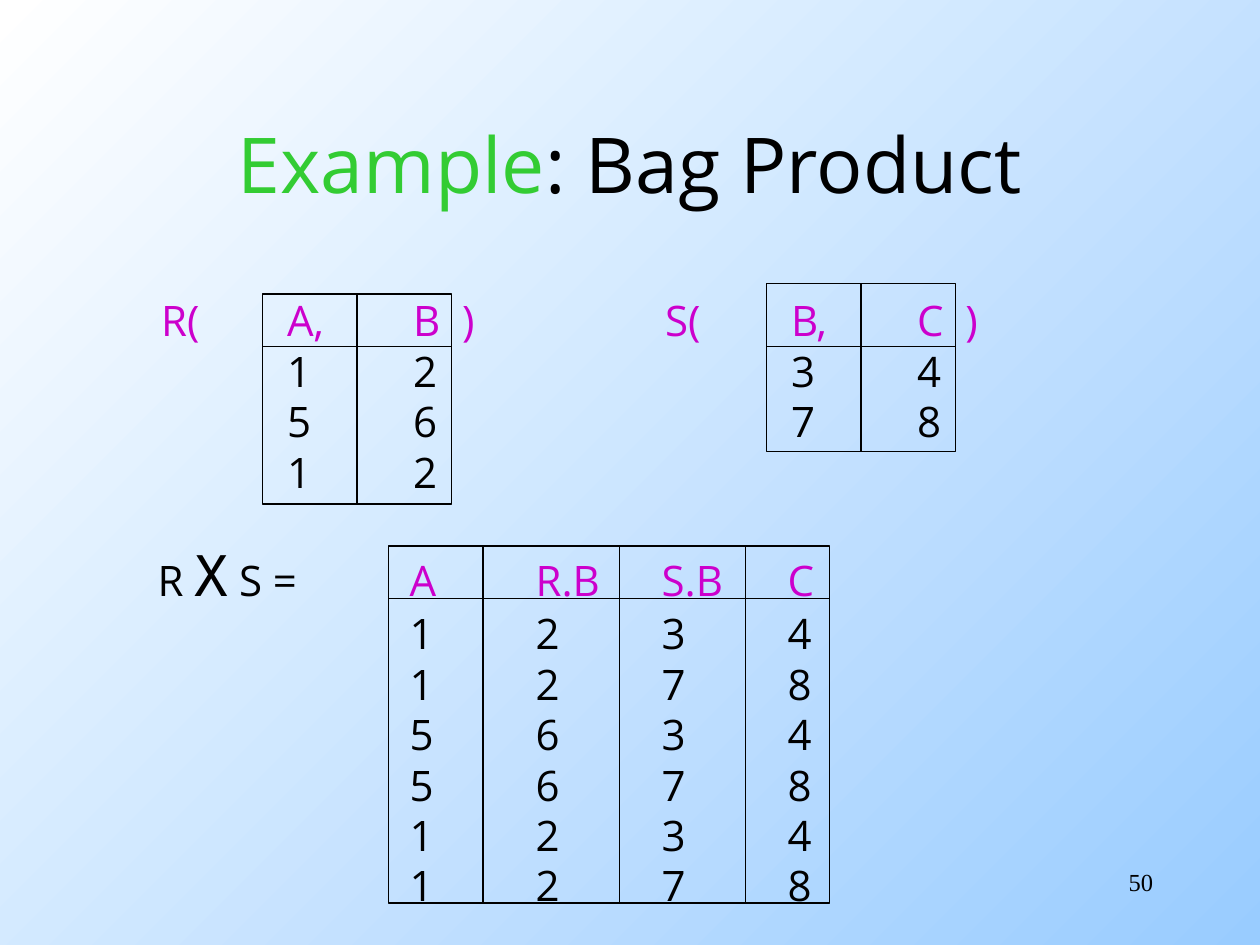
import pptx
import pptx.util
import pptx.dml.color
import pptx.enum.shapes
import pptx.enum.text
import pptx.oxml.ns
import lxml.etree

Pt = pptx.util.Pt
Color = pptx.dml.color.RGBColor.from_string
Align = pptx.enum.text.PP_ALIGN
Anchor = pptx.enum.text.MSO_ANCHOR
name = pptx.oxml.ns.qn

theme = {
    "sans": "Open Sans", "mono": "DejaVu Sans Mono", "serif": "Times New Roman",
    "title": 44, "sign": 32, "body": 24, "page": 14,
    "ink": "000000", "green": "33CC33", "head": "CC00CC",
    "pale": "FFFFFF", "blue": "99CCFF", "rule": 0.74,
}

deck = pptx.Presentation()
deck.slide_width, deck.slide_height = Pt(720), Pt(540)
slide = deck.slides.add_slide(deck.slide_layouts[6])

fill = slide.background.fill
fill.gradient()
fill.gradient_angle = 315
for stop, place, tint in zip(fill.gradient_stops, (0, 1), ("pale", "blue")):
    stop.position = place
    stop.color.rgb = Color(theme[tint])


def add_text(box, lines, align=Align.LEFT, wrap=False, pitch=()):
    """Add a text box; each line is a list of (text, size, font, color) runs."""
    shape = slide.shapes.add_textbox(*map(Pt, box))
    frame = shape.text_frame
    frame.word_wrap = wrap
    for row, line in enumerate(lines):
        para = frame.paragraphs[0] if row == 0 else frame.add_paragraph()
        para.alignment = align
        if pitch:
            para.line_spacing = Pt(pitch[min(row, len(pitch) - 1)])
            # Tab stops every 72 points
            tabs = lxml.etree.SubElement(para._p.get_or_add_pPr(), name("a:tabLst"))
            for step in range(1, 8):
                lxml.etree.SubElement(
                    tabs, name("a:tab"), pos=str(Pt(72 * step)), algn="l")
        for text, size, font, color in line:
            run = para.add_run()
            run.text = text
            run.font.size = Pt(theme[size])
            run.font.name = theme[font]
            run.font.color.rgb = Color(theme[color])
    return frame


def add_grid(left, top, width, height, head, cols):
    """Draw a frame with a rule under its head and rules between columns."""
    frame = slide.shapes.add_shape(
        pptx.enum.shapes.MSO_SHAPE.RECTANGLE, *map(Pt, (left, top, width, height)))
    frame.shadow.inherit = False
    frame.fill.background()
    rules = [(left, head, left + width, head)]
    rules += [(col, top, col, top + height) for col in cols]
    parts = [frame]
    for ends in rules:
        rule = slide.shapes.add_connector(
            pptx.enum.shapes.MSO_CONNECTOR.STRAIGHT, *map(Pt, ends))
        parts.append(rule)
    for part in parts:
        part.line.color.rgb = Color(theme["ink"])
        part.line.width = Pt(theme["rule"])
    for rule in parts[1:]:
        lxml.etree.SubElement(rule._element.spPr, name("a:effectLst"))


add_text((516, 492, 150, 36), [[("50", "page", "serif", "ink")]], Align.RIGHT, True)

title = add_text((54, 48, 612, 90), [[
    ("Example", "title", "sans", "green"),
    (": Bag Product", "title", "sans", "ink"),
]], Align.CENTER, True)
title.vertical_anchor = Anchor.MIDDLE

# Relations R and S
rows = ["\t1\t2\t\t\t3\t4", "\t5\t6\t\t\t7\t8", "\t1\t2"]
lines = [[("R(\tA,\tB  )\t\tS(\tB,\tC  )", "body", "sans", "head")]]
lines += [[(row, "body", "sans", "ink")] for row in rows]
add_text((85, 165, 481, 122), lines, pitch=(28.8,))
add_grid(150, 168, 108, 120, 198, [204])
add_grid(438, 162, 108, 96, 198, [492])

# Product: every tuple of R with every tuple of S
lines = [[
    ("R ", "body", "sans", "ink"),
    ("Χ", "sign", "mono", "ink"),
    (" S =\t", "body", "sans", "ink"),
    ("A\tR.B\tS.B\tC", "body", "sans", "head"),
]]
for left in ("1\t2", "5\t6", "1\t2"):
    for right in ("3\t4", "7\t8"):
        lines.append([(f"\t\t{left}\t{right}", "body", "sans", "ink")])
add_text((83, 305, 390, 219), lines, pitch=(38.9, 28.8))
add_grid(222, 312, 252, 204, 342, [276, 354, 426])

deck.save("out.pptx")
